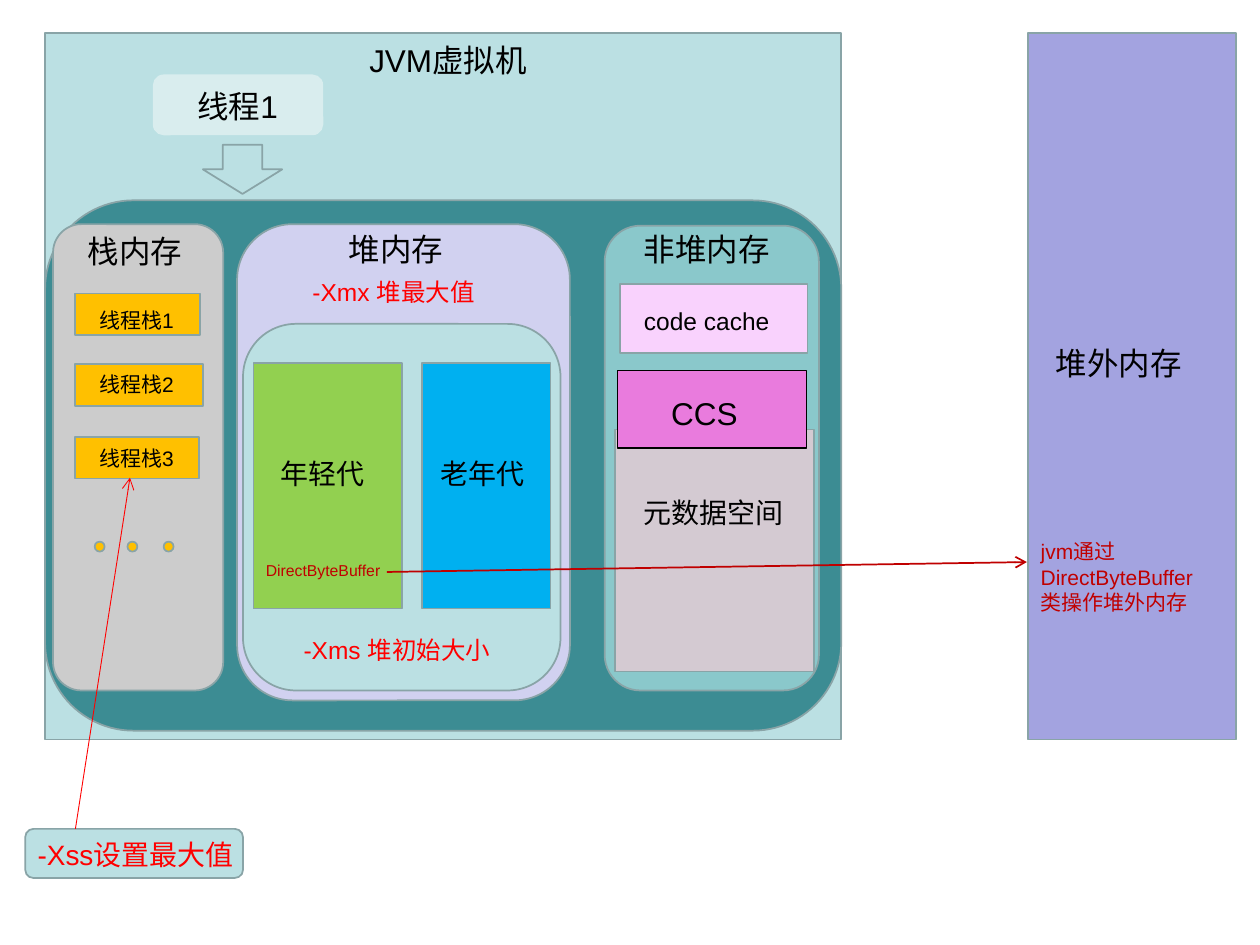
import pptx
import pptx.dml.color
import pptx.enum.shapes
import pptx.enum.text
import pptx.oxml
import pptx.util
from pptx.util import Cm

RECTANGLE = pptx.enum.shapes.MSO_SHAPE.RECTANGLE
ROUNDED = pptx.enum.shapes.MSO_SHAPE.ROUNDED_RECTANGLE
OVAL = pptx.enum.shapes.MSO_SHAPE.OVAL
DOWN_ARROW = pptx.enum.shapes.MSO_SHAPE.DOWN_ARROW
DRAWING = 'xmlns:a="http://schemas.openxmlformats.org/drawingml/2006/main"'


def color(value):
    """Return the colour for a hex string."""
    return pptx.dml.color.RGBColor.from_string(value)


def write_text(shape, text, size=18, hue="000000", font="Arial"):
    """Put left-aligned formatted text at the top of a shape."""
    frame = shape.text_frame
    frame.word_wrap = True
    frame.auto_size = pptx.enum.text.MSO_AUTO_SIZE.SHAPE_TO_FIT_TEXT
    frame.vertical_anchor = pptx.enum.text.MSO_ANCHOR.TOP
    paragraph = frame.paragraphs[0]
    paragraph.alignment = pptx.enum.text.PP_ALIGN.LEFT
    run = paragraph.add_run()
    run.text = text
    run.font.name = font
    run.font.size = pptx.util.Pt(size)
    run.font.color.rgb = color(hue)


class Diagram:
    """Hold the style and the current slide of the memory diagram."""

    outline = "89A4A7"
    pale = "BBE0E3"
    amber = "FFC000"
    red = "FF0000"
    dark_red = "C00000"

    def __init__(self, presentation):
        """Start a title-only slide."""
        self.slide = presentation.slides.add_slide(presentation.slide_layouts[5])
        self.shapes = self.slide.shapes

    def box(self, kind, left, top, width, height, fill, line=outline):
        """Draw a filled and outlined preset shape."""
        shape = self.shapes.add_shape(kind, Cm(left), Cm(top), Cm(width), Cm(height))
        shape.shadow.inherit = False
        shape.fill.solid()
        shape.fill.fore_color.rgb = color(fill)
        shape.line.color.rgb = color(line)
        shape.line.width = pptx.util.Pt(1)

    def title(self, text, left, top, width, height):
        """Place the title above the shapes drawn so far."""
        title = self.shapes.title
        title.left, title.top, title.width, title.height = map(Cm, (left, top, width, height))
        write_text(title, text)
        title.element.getparent().append(title.element)

    def label(self, text, left, top, width, size=18, hue="000000", lines=1):
        """Add a text box whose height follows its font size."""
        height = pptx.util.Pt(1.2 * size * lines) + Cm(0.25)
        shape = self.shapes.add_textbox(Cm(left), Cm(top), Cm(width), height)
        write_text(shape, text, size=size, hue=hue)

    def arrow(self, start, end, hue, width):
        """Draw a straight line with an open arrowhead at its end."""
        connector = self.shapes.add_connector(
            pptx.enum.shapes.MSO_CONNECTOR.STRAIGHT, *map(Cm, start + end))
        connector.line.color.rgb = color(hue)
        connector.line.width = pptx.util.Pt(width)
        connector.line._get_or_add_ln().append(
            pptx.oxml.parse_xml(f'<a:tailEnd {DRAWING} type="arrow"/>'))
        connector._element.spPr.append(pptx.oxml.parse_xml(f"<a:effectLst {DRAWING}/>"))


def draw_machine(diagram):
    """Draw the virtual machine, its thread and the off-heap memory."""
    diagram.box(ROUNDED, 0.51, 16.71, 4.39, 0.99, diagram.pale)
    diagram.box(RECTANGLE, 0.91, 0.66, 16.05, 14.25, diagram.pale)
    diagram.box(ROUNDED, 0.91, 4.04, 16.05, 10.69, "3C8C93")
    diagram.box(RECTANGLE, 20.73, 0.66, 4.19, 14.25, "A3A3E0")
    diagram.label("堆外内存", 21.03, 6.81, 3.58)
    diagram.title("JVM虚拟机", 7.19, 0.69, 3.89, 1.02)
    diagram.box(ROUNDED, 3.1, 1.52, 3.4, 1.19, "D9EDEE", line="D9EDEE")
    diagram.label("线程1", 3.73, 1.63, 2.36)
    diagram.box(DOWN_ARROW, 4.09, 2.92, 1.6, 0.99, diagram.pale)


def draw_heap(diagram):
    """Draw the heap with its two generations."""
    diagram.box(ROUNDED, 4.78, 4.52, 6.71, 9.6, "D1D1F0")
    diagram.label("堆内存", 6.78, 4.52, 3.02)
    diagram.box(ROUNDED, 4.9, 6.53, 6.4, 7.39, diagram.pale)
    diagram.box(RECTANGLE, 5.11, 7.32, 3, 4.95, "92D050")
    diagram.box(RECTANGLE, 8.51, 7.32, 2.59, 4.95, "00B0F0")
    diagram.label("年轻代", 5.41, 9.07, 2.39, size=16)
    diagram.label("老年代", 8.64, 9.07, 2.31, size=16)
    diagram.label("-Xms 堆初始大小", 5.87, 12.67, 4.42, size=14, hue=diagram.red)
    diagram.label("-Xmx 堆最大值", 6.05, 5.46, 3.99, size=14, hue=diagram.red)


def draw_stacks(diagram):
    """Draw the stack memory and the option that limits it."""
    diagram.box(ROUNDED, 1.07, 4.52, 3.43, 9.4, "CCCCCC")
    diagram.label("栈内存", 1.52, 4.55, 2.51)
    stacks = [(5.92, 2.51, 6.07), (7.34, 2.57, 7.37), (8.81, 2.49, 8.86)]
    for number, (top, width, label_top) in enumerate(stacks, 1):
        diagram.box(RECTANGLE, 1.52, top, width, 0.84, diagram.amber)
        diagram.label(f"线程栈{number}", 1.75, label_top, 2.13, size=12)
    for left in (1.91, 2.57, 3.3):
        diagram.box(OVAL, left, 10.92, 0.2, 0.2, diagram.amber)
    diagram.label("-Xss设置最大值", 0.51, 16.76, 4.62, size=16, hue=diagram.red)
    diagram.arrow((1.52, 16.71), (2.62, 9.63), diagram.red, 0.5)


def draw_non_heap(diagram):
    """Draw the non-heap memory and its three areas."""
    diagram.box(ROUNDED, 12.19, 4.55, 4.32, 9.37, "8AC8CB")
    diagram.label("非堆内存", 12.73, 4.52, 3.07)
    diagram.box(RECTANGLE, 12.4, 8.66, 4.01, 4.88, "D4CAD2")
    diagram.box(RECTANGLE, 12.5, 5.72, 3.78, 1.4, "F9D2FD")
    diagram.box(RECTANGLE, 12.45, 7.47, 3.81, 1.57, "E97BDD", line="000000")
    diagram.label("code cache", 12.73, 6.05, 3.18, size=14)
    diagram.label("CCS", 13.28, 7.82, 2.18)
    diagram.label("元数据空间", 12.73, 9.86, 3.51, size=16)


def draw_direct_buffer(diagram):
    """Draw the link from the young generation to off-heap memory."""
    diagram.label("DirectByteBuffer", 5.11, 11.18, 2.97, size=9, hue=diagram.dark_red)
    diagram.arrow((7.8, 11.53), (20.7, 11.33), diagram.dark_red, 1)
    diagram.label("jvm通过DirectByteBuffer类操作堆外内存", 20.73, 10.74, 3.99,
                  size=12, hue=diagram.dark_red, lines=3)


def main():
    """Build and save the slide."""
    presentation = pptx.Presentation()
    presentation.slide_width, presentation.slide_height = Cm(25.4), Cm(19.05)
    diagram = Diagram(presentation)
    draw_machine(diagram)
    draw_heap(diagram)
    draw_stacks(diagram)
    draw_non_heap(diagram)
    draw_direct_buffer(diagram)
    presentation.save("out.pptx")


if __name__ == "__main__":
    main()
